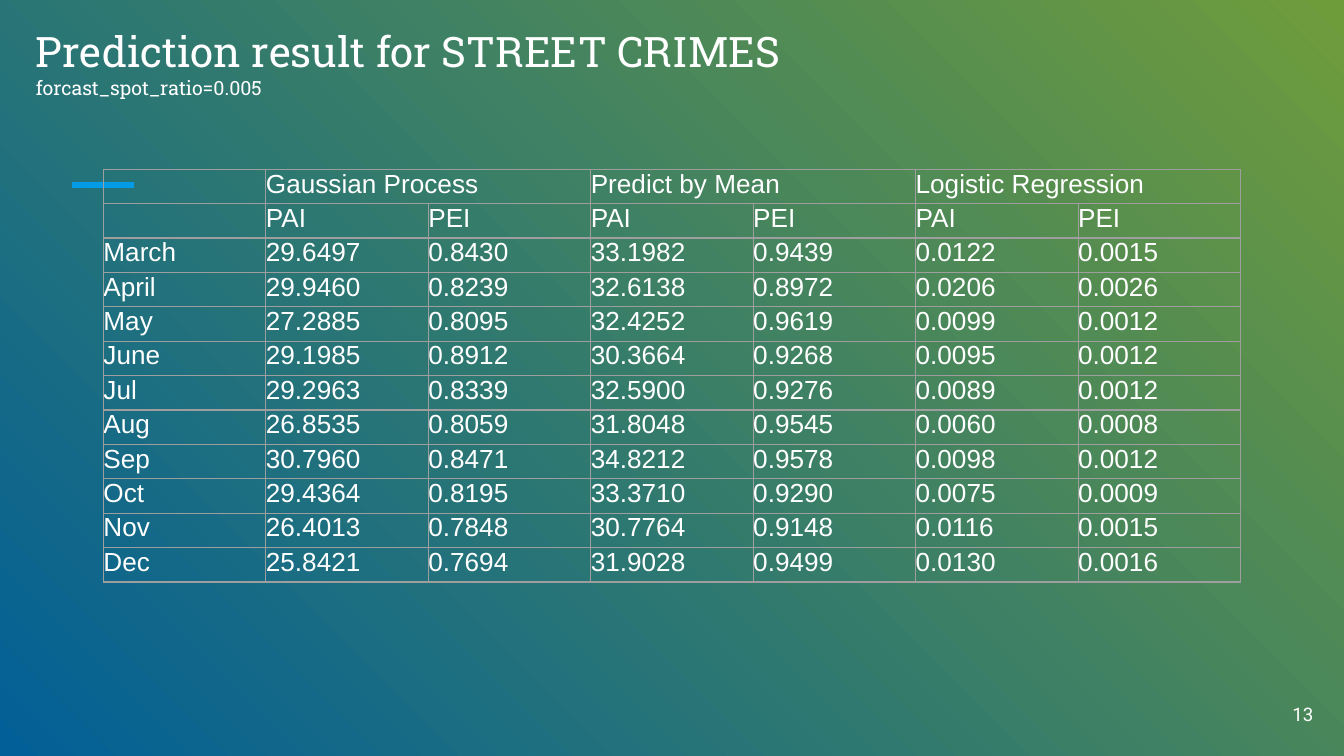
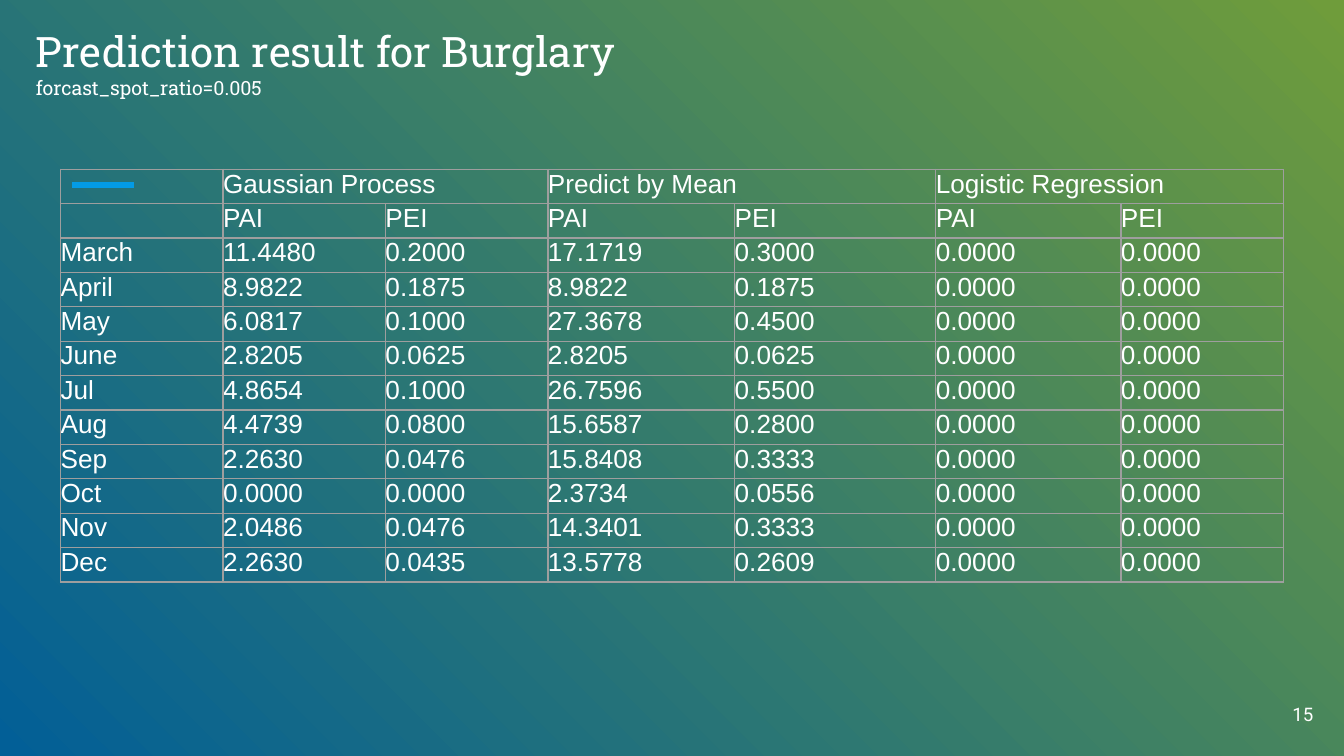
import pptx
import pptx.dml.color
import pptx.enum.shapes
import pptx.enum.text
import pptx.oxml.ns
import pptx.util
from lxml import etree

Cm, Pt = pptx.util.Cm, pptx.util.Pt
Align = pptx.enum.text.PP_ALIGN
Anchor = pptx.enum.text.MSO_ANCHOR
qn = pptx.oxml.ns.qn

# Shared look
WIDE, HIGH = 25.4, 14.29
BLUE, GREEN, SKY = "025F97", "6F9C3B", "039BE5"
WHITE, GREY = "FFFFFF", "9E9E9E"
INSET = 0.25
TOP, ROW, COL = 3.2, 0.65, 3.07
RATIO = "forcast_spot_ratio=0.005"
MODELS = ["Gaussian Process", "Predict by Mean", "Logistic Regression"]

# Month, then PAI and PEI of each model
STREET = """
March 29.6497 0.8430 33.1982 0.9439 0.0122 0.0015
April 29.9460 0.8239 32.6138 0.8972 0.0206 0.0026
May 27.2885 0.8095 32.4252 0.9619 0.0099 0.0012
June 29.1985 0.8912 30.3664 0.9268 0.0095 0.0012
Jul 29.2963 0.8339 32.5900 0.9276 0.0089 0.0012
Aug 26.8535 0.8059 31.8048 0.9545 0.0060 0.0008
Sep 30.7960 0.8471 34.8212 0.9578 0.0098 0.0012
Oct 29.4364 0.8195 33.3710 0.9290 0.0075 0.0009
Nov 26.4013 0.7848 30.7764 0.9148 0.0116 0.0015
Dec 25.8421 0.7694 31.9028 0.9499 0.0130 0.0016
"""
BURGLARY = """
March 11.4480 0.2000 17.1719 0.3000 0.0000 0.0000
April 8.9822 0.1875 8.9822 0.1875 0.0000 0.0000
May 6.0817 0.1000 27.3678 0.4500 0.0000 0.0000
June 2.8205 0.0625 2.8205 0.0625 0.0000 0.0000
Jul 4.8654 0.1000 26.7596 0.5500 0.0000 0.0000
Aug 4.4739 0.0800 15.6587 0.2800 0.0000 0.0000
Sep 2.2630 0.0476 15.8408 0.3333 0.0000 0.0000
Oct 0.0000 0.0000 2.3734 0.0556 0.0000 0.0000
Nov 2.0486 0.0476 14.3401 0.3333 0.0000 0.0000
Dec 2.2630 0.0435 13.5778 0.2609 0.0000 0.0000
"""


def rgb(code):
    return pptx.dml.color.RGBColor.from_string(code)


def add_run(para, text, size, font):
    run = para.add_run()
    run.text = text
    run.font.size = Pt(size)
    run.font.name = font
    run.font.color.rgb = rgb(WHITE)


def add_box(slide, left, top, width, height, anchor):
    box = slide.shapes.add_textbox(Cm(left), Cm(top), Cm(width), Cm(height))
    frame = box.text_frame
    frame.margin_left = frame.margin_right = Cm(INSET)
    frame.margin_top = frame.margin_bottom = Cm(INSET)
    frame.vertical_anchor = anchor
    return frame


def add_ground(slide):
    fill = slide.background.fill
    fill.gradient()
    fill.gradient_angle = 45
    for stop, code in zip(fill.gradient_stops, (BLUE, GREEN)):
        stop.color.rgb = rgb(code)


def add_dash(slide):
    kind = pptx.enum.shapes.MSO_CONNECTOR.STRAIGHT
    dash = slide.shapes.add_connector(kind, Cm(1.37), Cm(3.5), Cm(2.54), Cm(3.5))
    dash.line.color.rgb = rgb(SKY)
    dash.line.width = Pt(3)
    etree.SubElement(dash._element.spPr, qn("a:effectLst"))


def add_title(slide, crime):
    frame = add_box(slide, 0.43, 0.23, 23.24, 1.9, Anchor.BOTTOM)
    frame.word_wrap = True
    add_run(frame.paragraphs[0], "Prediction result for " + crime, 22.5, "Roboto Slab")
    add_run(frame.add_paragraph(), RATIO, 10.5, "Roboto Slab")


def add_number(slide, number):
    frame = add_box(slide, 24.13, 13.03, 0.94, 0.94, Anchor.MIDDLE)
    frame.word_wrap = False
    frame.auto_size = pptx.enum.text.MSO_AUTO_SIZE.SHAPE_TO_FIT_TEXT
    para = frame.paragraphs[0]
    para.alignment = Align.RIGHT
    add_run(para, str(number), 10, "Roboto")


def style_cell(cell):
    cell.margin_left = cell.margin_right = 0
    cell.margin_top = cell.margin_bottom = 0
    props = cell._tc.get_or_add_tcPr()
    for side in ("lnL", "lnR", "lnT", "lnB"):
        line = etree.SubElement(props, qn("a:" + side), w=str(Pt(0.75)))
        fill = etree.SubElement(line, qn("a:solidFill"))
        etree.SubElement(fill, qn("a:srgbClr"), val=GREY)
    cell.fill.background()


def fill_cell(cell, text):
    style_cell(cell)
    para = cell.text_frame.paragraphs[0]
    if text:
        add_run(para, text, 14, "Arial")
    else:
        # Keep empty cells as low as the others
        etree.SubElement(para._p, qn("a:endParaRPr"), sz="1400")


def add_grid(slide, data, cols):
    heads = [""]
    for model in MODELS:
        heads += [model, ""]
    rows = [heads, [""] + ["PAI", "PEI"] * len(MODELS)]
    rows += [line.split() for line in data.strip().splitlines()]

    wide = sum(cols)
    frame = slide.shapes.add_table(
        len(rows), len(cols), Cm((WIDE - wide) / 2), Cm(TOP), Cm(wide), Cm(ROW * len(rows)))
    table = frame.table
    table.first_row = table.horz_banding = False
    for col, width in zip(table.columns, cols):
        col.width = Cm(width)
    for r, texts in enumerate(rows):
        table.rows[r].height = Cm(ROW)
        for c, text in enumerate(texts):
            fill_cell(table.cell(r, c), text)
    # Each model heads two columns
    for c in range(1, len(cols), 2):
        table.cell(0, c).merge(table.cell(0, c + 1))


def add_result(deck, crime, number, data, cols):
    slide = deck.slides.add_slide(deck.slide_layouts[6])
    add_ground(slide)
    add_dash(slide)
    add_title(slide, crime)
    add_number(slide, number)
    add_grid(slide, data, cols)


def main():
    deck = pptx.Presentation()
    deck.slide_width, deck.slide_height = Cm(WIDE), Cm(HIGH)
    add_result(deck, "STREET CRIMES", 13, STREET, [COL] * 7)
    add_result(deck, "Burglary", 15, BURGLARY, [COL] * 3 + [3.53, 3.8, 3.5, COL])
    deck.save("out.pptx")


if __name__ == "__main__":
    main()
